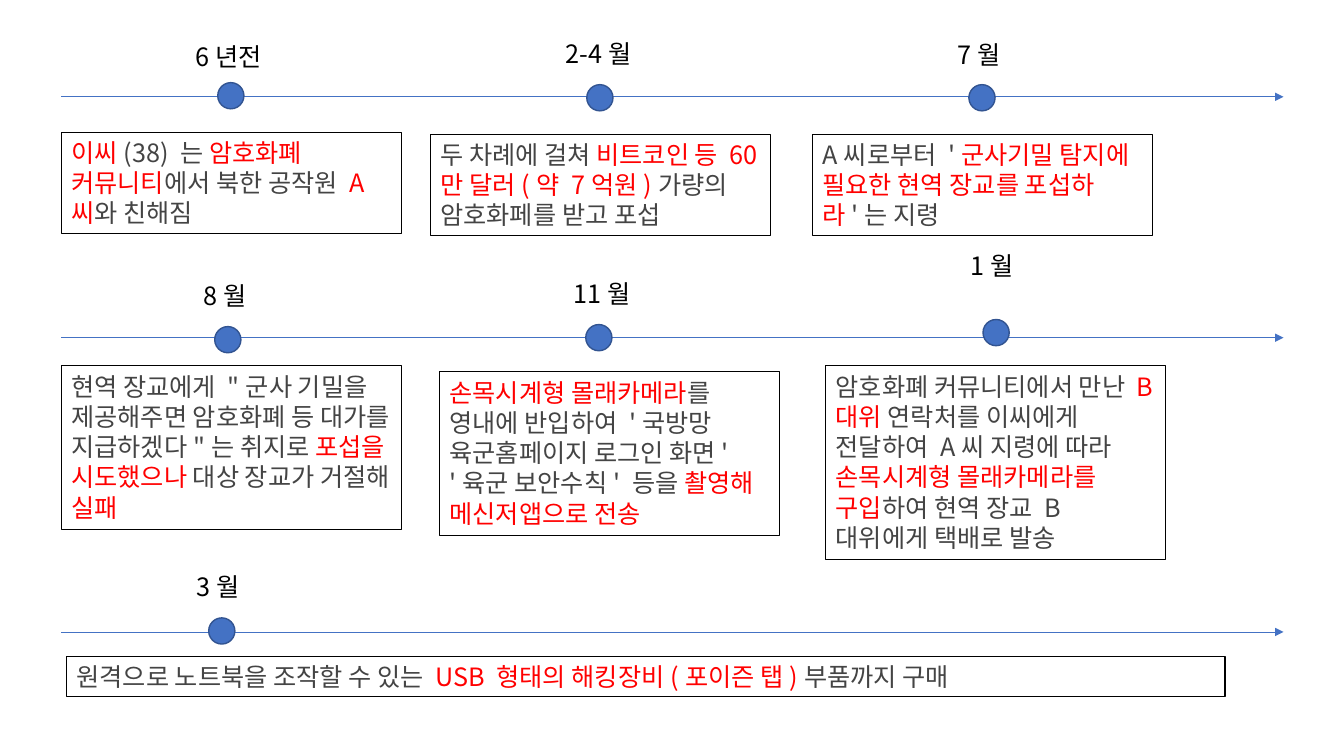
from pptx import Presentation
from pptx.util import Inches, Pt
from pptx.dml.color import RGBColor
from pptx.enum.shapes import MSO_CONNECTOR as Connector, MSO_SHAPE as Shape
from pptx.enum.text import MSO_ANCHOR as Anchor, PP_ALIGN as Align
from pptx.oxml.ns import qn
from lxml.etree import SubElement

COLORS = {
    "blue": "4472C4",
    "dot_edge": "325491",
    "black": "000000",
    "gray": "444444",
    "red": "FF0000",
}
FONT = "Noto Sans CJK KR"
DOT = 0.26


def rgb(name):
    return RGBColor.from_string(COLORS[name])


def write(shape, runs):
    frame = shape.text_frame
    frame.word_wrap = True
    frame.vertical_anchor = Anchor.TOP
    paragraph = frame.paragraphs[0]
    paragraph.alignment = Align.LEFT
    for color, text in runs:
        run = paragraph.add_run()
        run.text = text
        run.font.size = Pt(18)
        run.font.name = FONT
        run.font.color.rgb = rgb(color)
        SubElement(run.font._element, qn("a:ea"), typeface=FONT)


presentation = Presentation()
presentation.slide_width = Inches(13.33)
presentation.slide_height = Inches(7.5)
slide = presentation.slides.add_slide(presentation.slide_layouts[6])

# Timeline arrows
for y in (0.96, 3.35, 6.27):
    arrow = slide.shapes.add_connector(
        Connector.STRAIGHT, Inches(0.61), Inches(y), Inches(12.73), Inches(y))
    arrow.line.color.rgb = rgb("blue")
    arrow.line.width = Pt(0.5)
    SubElement(arrow.line._get_or_add_ln(), qn("a:tailEnd"), type="triangle")
    SubElement(arrow._element.spPr, qn("a:effectLst"))

# Events: date, date box (left, top, width), dot (left, top),
# description box (left, top, width, height), description runs
events = [
    ("6년전", (1.84, 0.36, 0.89), (2.16, 0.82), (0.61, 1.31, 3.37, 1.01), [
        ("red", "이씨"), ("gray", "(38) 는 "), ("red", "암호화폐 커뮤니티"),
        ("gray", "에서 북한 공작원 "), ("red", "A씨"), ("gray", "와 친해짐")]),
    ("2-4월", (5.51, 0.33, 0.89), (5.82, 0.84), (4.27, 1.33, 3.37, 1.01), [
        ("gray", "두 차례에 걸쳐 "), ("red", "비트코인 등 60만 달러(약 7억원)"),
        ("gray", "가량의 암호화페를 받고 포섭")]),
    ("7월", (9.4, 0.34, 0.69), (9.61, 0.84), (8.06, 1.33, 3.37, 1.01), [
        ("gray", "A씨로부터 '"),
        ("red", "군사기밀 탐지에 필요한 현역 장교를 포섭하라"),
        ("gray", "'는 지령")]),
    ("8월", (1.92, 2.73, 0.69), (2.13, 3.24), (0.61, 3.63, 3.37, 1.62), [
        ("gray", "현역 장교에게 \"군사 기밀을 제공해주면 암호화폐 등 "
                 "대가를 지급하겠다\"는 취지로 "),
        ("red", "포섭을 시도했으나 "), ("gray", "대상 장교가 거절해 "),
        ("red", "실패")]),
    ("11월", (5.59, 2.71, 0.81), (5.81, 3.22), (4.36, 3.69, 3.37, 1.62), [
        ("red", "손목시계형 몰래카메라"),
        ("gray", "를 영내에 반입하여 '국방망 육군홈페이지 로그인 화면' "
                 "'육군 보안수칙' 등을 "),
        ("red", "촬영해 메신저앱으로 전송")]),
    ("1월", (9.53, 2.43, 0.69), (9.75, 3.17), (8.19, 3.63, 3.37, 1.92), [
        ("gray", "암호화폐 커뮤니티에서 만난 "), ("red", "B대위 "),
        ("gray", "연락처를 이씨에게 전달하여 A씨 지령에 따라 "),
        ("red", "손목시계형 몰래카메라를 구입"),
        ("gray", "하여 현역 장교 B대위에게 택배로 발송")]),
    ("3월", (1.85, 5.62, 0.69), (2.07, 6.13), (0.66, 6.51, 11.49, 0.4), [
        ("gray", "원격으로 노트북을 조작할 수 있는 "),
        ("red", "USB 형태의 해킹장비(포이즌 탭)"), ("gray", "부품까지 구매")]),
]

for date, date_box, dot_place, box, runs in events:
    # Dot on the timeline
    dot = slide.shapes.add_shape(
        Shape.OVAL, *map(Inches, dot_place), Inches(DOT), Inches(DOT))
    dot.shadow.inherit = False
    dot.fill.solid()
    dot.fill.fore_color.rgb = rgb("blue")
    dot.line.color.rgb = rgb("dot_edge")
    dot.line.width = Pt(1)

    # Date above the dot
    label = slide.shapes.add_textbox(*map(Inches, (*date_box, 0.4)))
    write(label, [("black", date)])

    # Framed description below
    description = slide.shapes.add_shape(Shape.RECTANGLE, *map(Inches, box))
    description.shadow.inherit = False
    description.fill.background()
    description.line.color.rgb = rgb("black")
    description.line.width = Pt(0.75)
    write(description, runs)

presentation.save("out.pptx")
